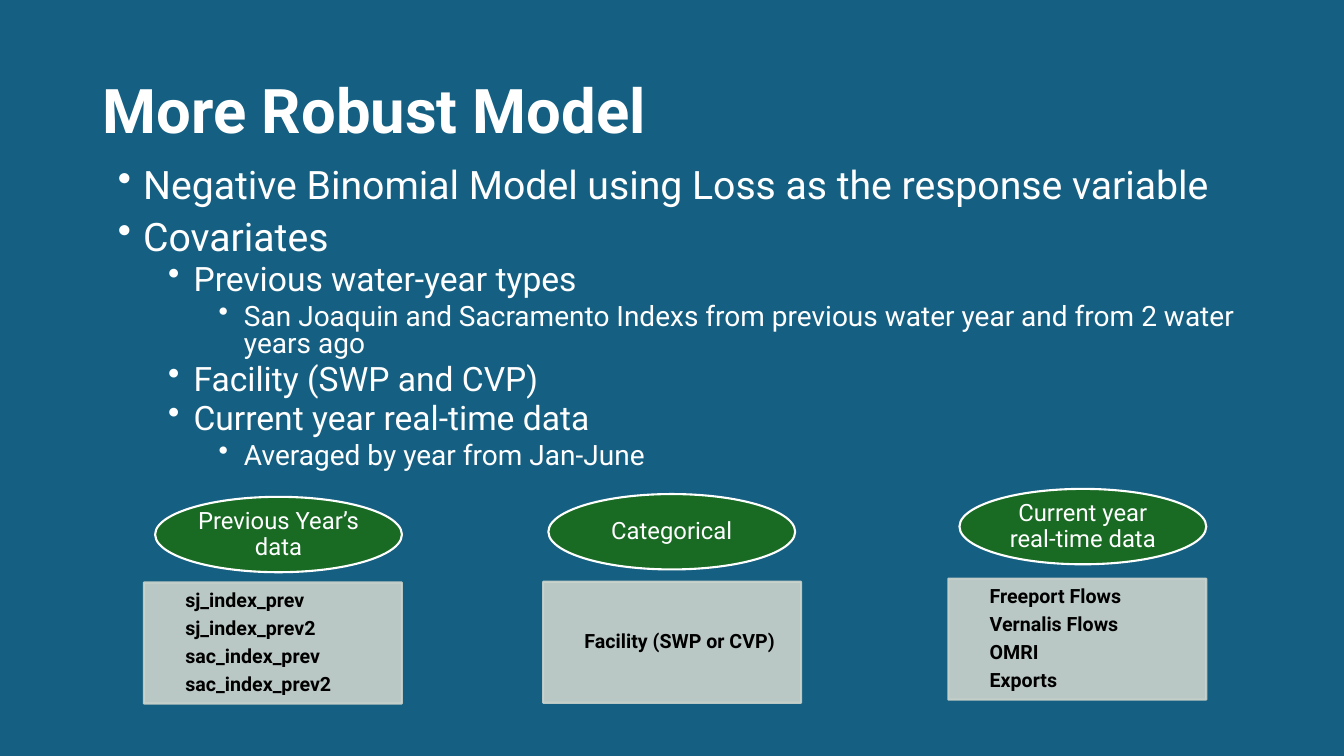
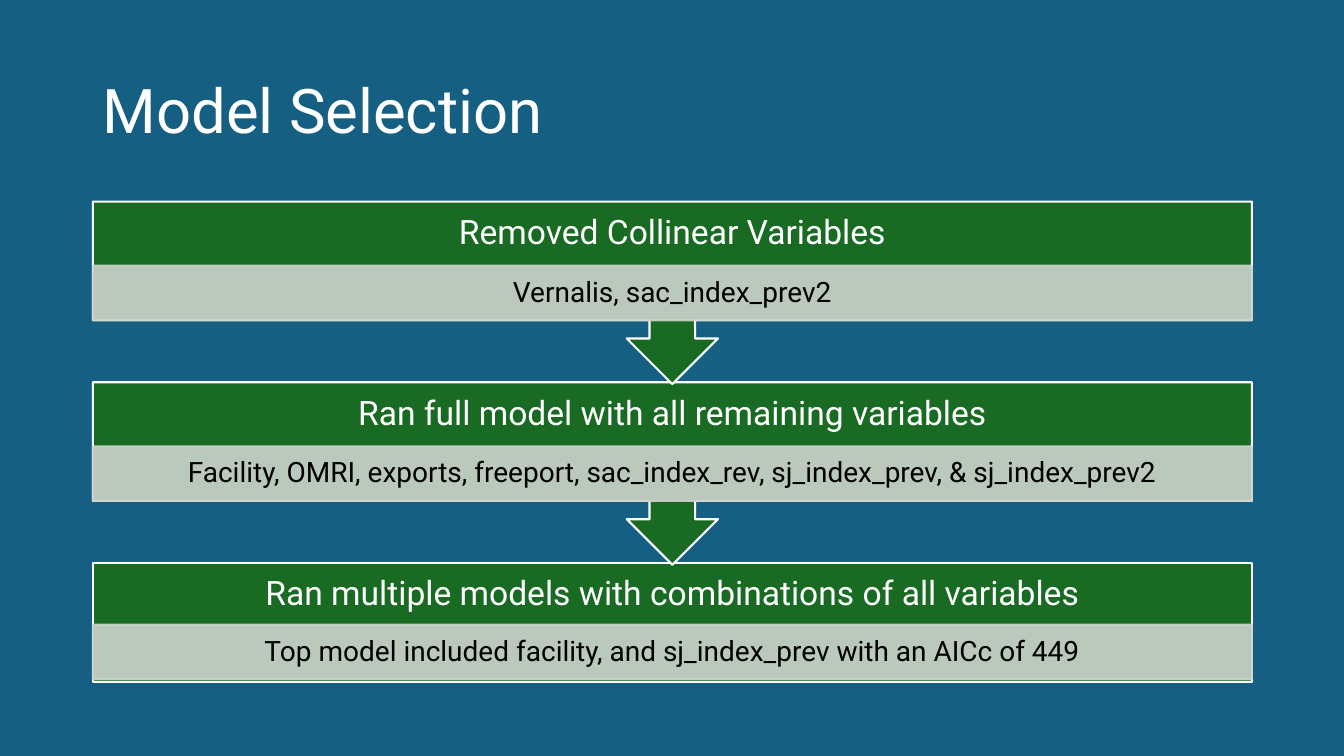
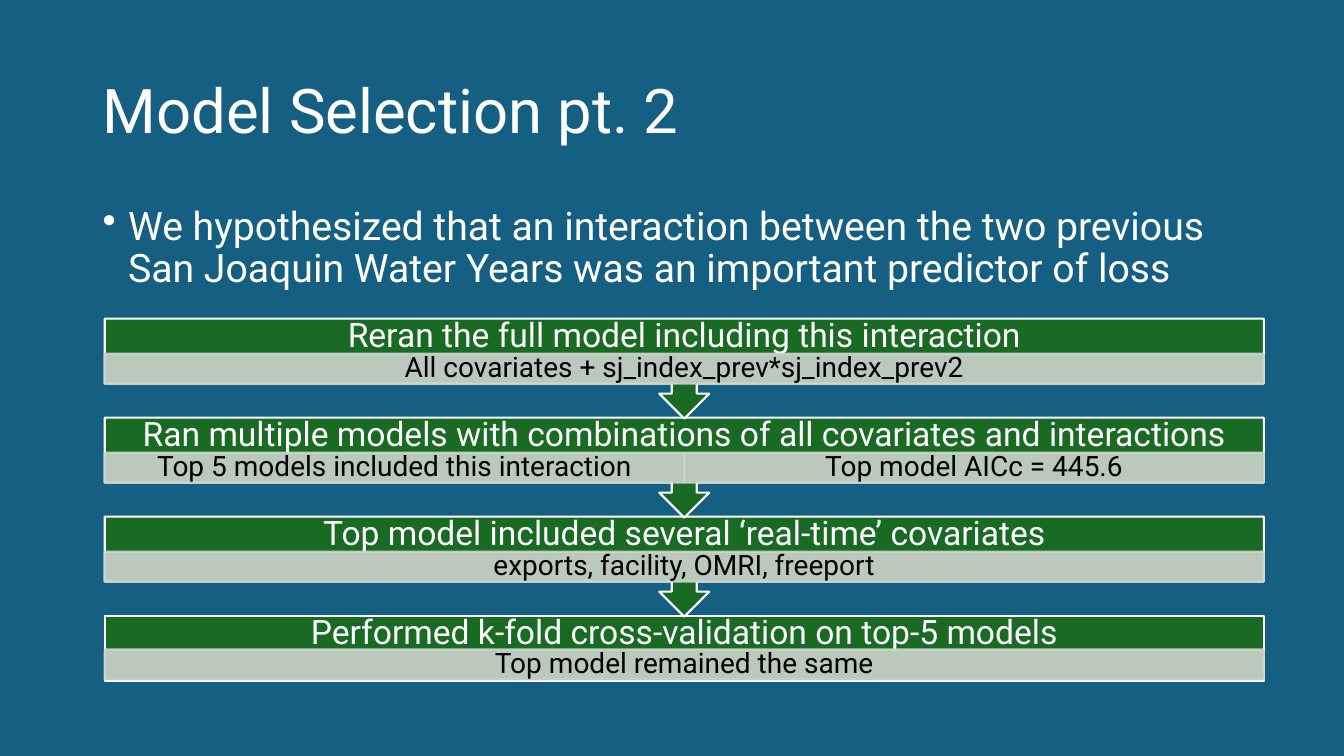
from dataclasses import dataclass

from lxml.etree import SubElement
from pptx import Presentation
from pptx.dml.color import RGBColor as Rgb
from pptx.enum.shapes import MSO_SHAPE as Kind
from pptx.enum.text import MSO_ANCHOR as Anchor, PP_ALIGN as Align
from pptx.oxml.ns import qn
from pptx.util import Cm, Pt


@dataclass(frozen=True)
class Theme:
    # Colours
    back: str = "156082"
    green: str = "196B24"
    pale: str = "CCD4CD"
    white: str = "FFFFFF"
    black: str = "000000"
    # Type
    font: str = "Roboto"
    title: int = 44
    levels: tuple = (28, 24, 20)
    head: int = 24
    detail: int = 20
    label: int = 17
    item: int = 14
    # Shared widths and lines
    width: float = 29.21
    line: float = 1.5


THEME = Theme()


# Text
def style(para, size, color, bold=False, lead=0.9):
    para.line_spacing = lead
    font = para.font
    font.name, font.size, font.bold = THEME.font, Pt(size), bold
    font.color.rgb = Rgb.from_string(color)


def fill_text(shape, lines, size, color, pad=(0, 0, 0, 0),
              align=Align.CENTER, bold=False):
    frame = shape.text_frame
    frame.word_wrap = True
    frame.vertical_anchor = Anchor.MIDDLE
    (frame.margin_left, frame.margin_top,
     frame.margin_right, frame.margin_bottom) = map(Cm, pad)
    for n, line in enumerate(lines):
        para = frame.add_paragraph() if n else frame.paragraphs[0]
        para.text, para.alignment = line, align
        if n:
            para.space_before = Pt(5)
        style(para, size, color, bold)


def add_box(slide, left, top, high):
    box = slide.shapes.add_textbox(
        Cm(left), Cm(top), Cm(THEME.width), Cm(high))
    box.text_frame.word_wrap = True
    return box.text_frame


def add_title(slide, text, bold=False):
    frame = add_box(slide, 2.34, 1.02, 3.68)
    frame.vertical_anchor = Anchor.MIDDLE
    para = frame.paragraphs[0]
    para.text = text
    style(para, THEME.title, THEME.white, bold)


def add_list(slide, left, top, high, rows, lead=0.9):
    frame = add_box(slide, left, top, high)
    for n, (level, text) in enumerate(rows):
        para = frame.add_paragraph() if n else frame.paragraphs[0]
        para.text, para.level = text, level
        props = para._p.get_or_add_pPr()
        props.set("marL", str(int(Cm(0.64 + 1.27 * level))))
        props.set("indent", str(int(Cm(-0.64))))
        SubElement(props, qn("a:buChar")).set("char", "•")
        para.space_before = Pt(5 if level else 10)
        style(para, THEME.levels[level], THEME.white, lead=lead)


# Shapes
def add_shape(slide, kind, left, top, wide, high, fill, line):
    shape = slide.shapes.add_shape(
        kind, Cm(left), Cm(top), Cm(wide), Cm(high))
    shape.shadow.inherit = False
    shape.fill.solid()
    shape.fill.fore_color.rgb = Rgb.from_string(fill)
    shape.line.color.rgb = Rgb.from_string(line)
    shape.line.width = Pt(THEME.line)
    return shape


def add_green(slide, kind, *place):
    return add_shape(slide, kind, *place, THEME.green, THEME.white)


def add_panel(slide, *place):
    panel = add_shape(slide, Kind.RECTANGLE, *place, THEME.pale, THEME.pale)
    for color in panel.element.spPr.iter(qn("a:srgbClr")):
        SubElement(color, qn("a:alpha")).set("val", "90000")
    return panel


def add_group(slide, panel, oval, label, items):
    fill_text(add_panel(slide, *panel, 6.5, 3.05), items, THEME.item,
              THEME.black, (1.04, 0.28, 0.28, 0.28), Align.LEFT, True)
    fill_text(add_green(slide, Kind.OVAL, *oval, 6.22, 1.9), [label],
              THEME.label, THEME.white)


def add_flow(slide, left, top, tall, steps):
    """Stack steps; each but the last is a callout pointing to the next."""
    body = 0.65 * tall
    last = len(steps) - 1
    # Bottom up, so that each arrow tip lies over the next step
    for n in range(last, -1, -1):
        head, details = steps[n]
        high = top + n * 0.99 * tall
        kind, size, share = (
            (Kind.RECTANGLE, body, 0.52) if n == last
            else (Kind.DOWN_ARROW_CALLOUT, tall, 0.54))
        band = add_green(slide, kind, left, high, THEME.width, size)
        fill_text(band, [head], THEME.head, THEME.white,
                  (0.48, 0, 0.48, 0.46 * body))
        wide = THEME.width / len(details)
        for col, text in enumerate(details):
            panel = add_panel(slide, left + col * wide, high + share * body,
                              wide, 0.46 * body)
            fill_text(panel, [text], THEME.detail, THEME.black,
                      (0.4, 0.08, 0.4, 0.08))


# Slides
def new_slide(deck, title, bold=False):
    slide = deck.slides.add_slide(deck.slide_layouts[6])
    slide.background.fill.solid()
    slide.background.fill.fore_color.rgb = Rgb.from_string(THEME.back)
    add_title(slide, title, bold)
    return slide


def add_robust(deck):
    slide = new_slide(deck, "More Robust Model", True)
    add_list(slide, 2.72, 4.14, 8.23, [
        (0, "Negative Binomial Model using Loss as the response variable"),
        (0, "Covariates"),
        (1, "Previous water-year types"),
        (2, "San Joaquin and Sacramento Indexs from previous water year "
            "and from 2 water years ago"),
        (1, "Facility (SWP and CVP)"),
        (1, "Current year real-time data"),
        (2, "Averaged by year from Jan-June"),
    ], 0.8)
    groups = [
        ((3.63, 14.68), (3.91, 12.52), "Previous Year’s data",
         ["sj_index_prev", "sj_index_prev2",
          "sac_index_prev", "sac_index_prev2"]),
        ((13.69, 14.66), (13.82, 12.45), "Categorical",
         ["Facility (SWP or CVP)"]),
        ((23.9, 14.58), (24.18, 12.32), "Current year real-time data",
         ["Freeport Flows", "Vernalis Flows", "OMRI", "Exports"]),
    ]
    for group in groups:
        add_group(slide, *group)


def add_choice(deck):
    slide = new_slide(deck, "Model Selection")
    add_flow(slide, 2.34, 5.08, 4.6, [
        ("Removed Collinear Variables", ["Vernalis, sac_index_prev2"]),
        ("Ran full model with all remaining variables",
         ["Facility, OMRI, exports, freeport, sac_index_rev, "
          "sj_index_prev, & sj_index_prev2"]),
        ("Ran multiple models with combinations of all variables",
         ["Top model included facility, and sj_index_prev "
          "with an AICc of 449"]),
    ])


def add_second(deck):
    slide = new_slide(deck, "Model Selection pt. 2")
    add_list(slide, 2.34, 5.08, 2.8, [
        (0, "We hypothesized that an interaction between the two previous "
            "San Joaquin Water Years was an important predictor of loss"),
    ])
    add_flow(slide, 2.64, 8.03, 2.52, [
        ("Reran the full model including this interaction",
         ["All covariates + sj_index_prev*sj_index_prev2"]),
        ("Ran multiple models with combinations of all covariates "
         "and interactions",
         ["Top 5 models included this interaction",
          "Top model AICc = 445.6"]),
        ("Top model included several ‘real-time’ covariates",
         ["exports, facility, OMRI, freeport"]),
        ("Performed k-fold cross-validation on top-5 models",
         ["Top model remained the same"]),
    ])


def main():
    deck = Presentation()
    deck.slide_width, deck.slide_height = Cm(33.87), Cm(19.05)
    add_robust(deck)
    add_choice(deck)
    add_second(deck)
    deck.save("out.pptx")


if __name__ == "__main__":
    main()
